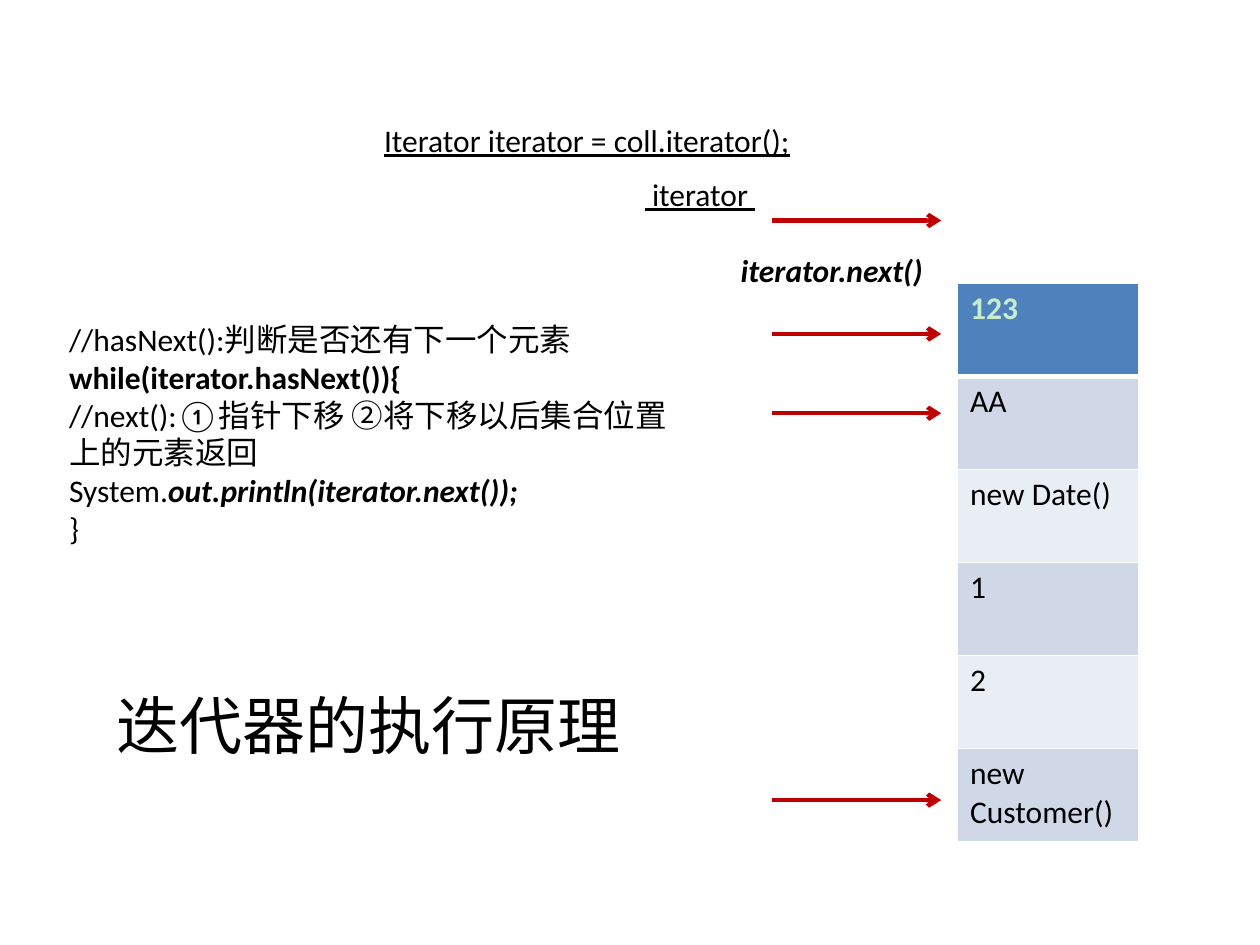
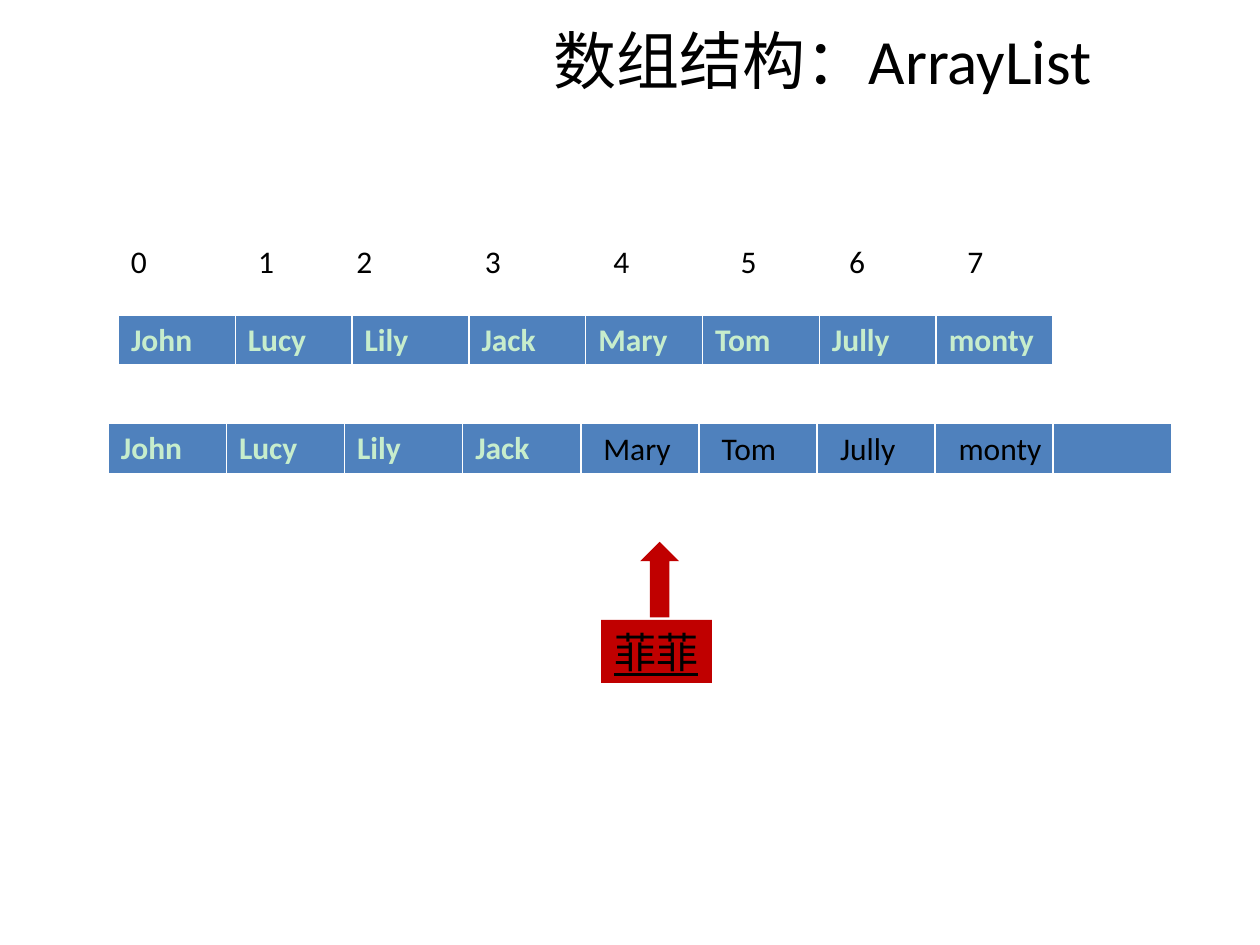
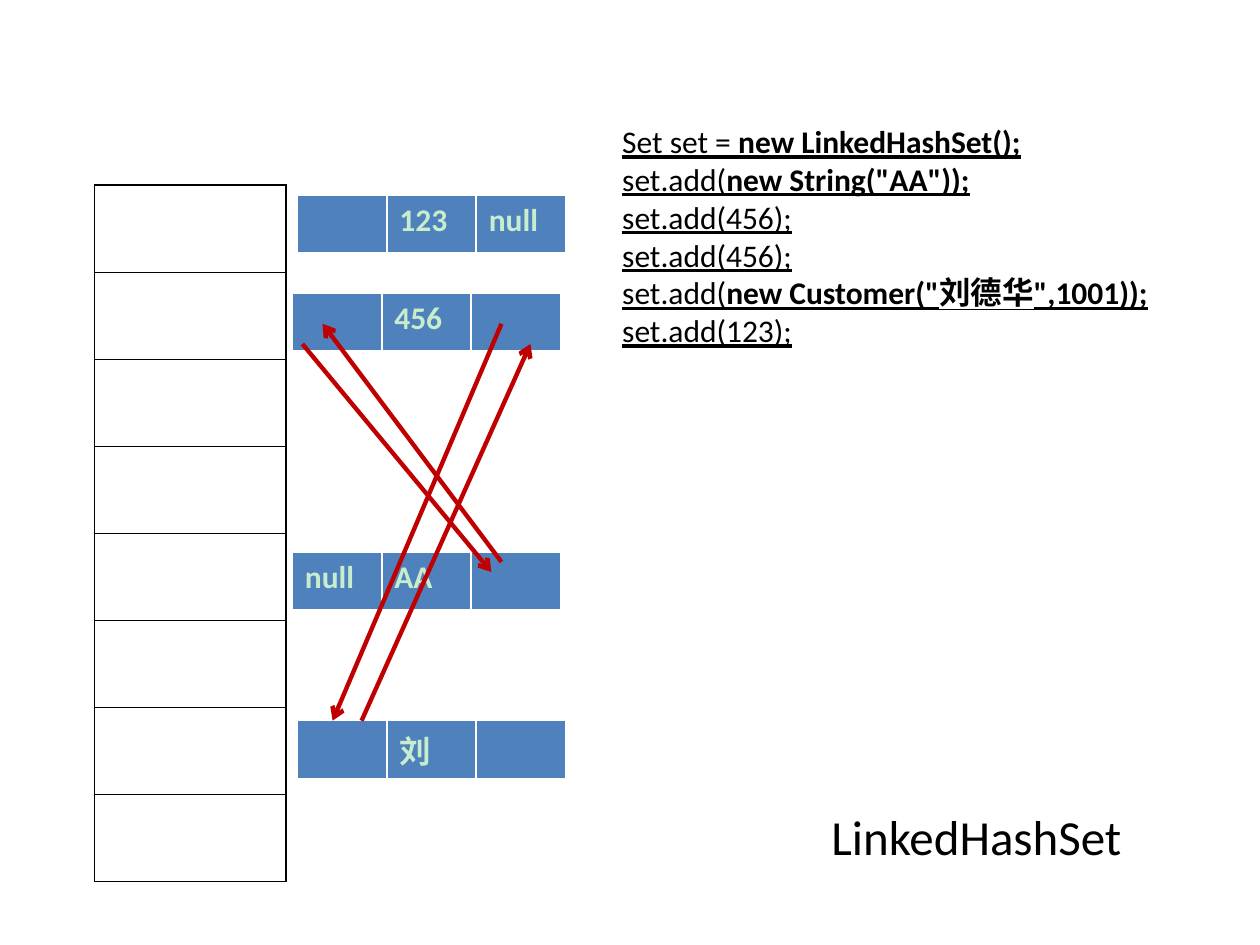
"""Build three slides on iterators, ArrayList and LinkedHashSet."""
from dataclasses import dataclass

from lxml import etree
from pptx import Presentation
from pptx import dml, presentation, slide as sl, table as tb, util as u
from pptx.dml import color
from pptx.enum import shapes, text
from pptx.oxml import ns
from pptx.text import text as tx

COLORS = {
    "ink": "000000",
    "paper": "FFFFFF",
    "pale": "C7EDCC",
    "header": "4F81BD",
    "band_dark": "D0D8E8",
    "band_light": "E9EDF4",
    "accent": "C00000",
}
FONT = "Calibri"
BODY_SIZE = 18
TITLE_SIZE = 36
POINTER_WIDTH = 2.5


@dataclass(frozen=True)
class Span:
    words: str
    bold: bool = False
    italic: bool = False


@dataclass(frozen=True)
class Label:
    left: float
    top: float
    width: float
    height: float
    lines: tuple[tuple[Span, ...], ...]
    size: int = BODY_SIZE
    underline: bool = False
    wrap: bool = True


@dataclass(frozen=True)
class Grid:
    left: float
    top: float
    width: float
    height: float
    rows: tuple[tuple[str, ...], ...]
    fills: tuple[str | None, ...] = ("header",)
    header: bool = True
    border: str = "paper"


@dataclass(frozen=True)
class Pointer:
    start: tuple[float, float]
    end: tuple[float, float]


def rgb(name: str) -> color.RGBColor:
    return color.RGBColor.from_string(COLORS[name])


def plain(words: str) -> tuple[tuple[Span, ...], ...]:
    return ((Span(words),),)


def style_font(font: tx.Font, size: int, ink: str = "ink", bold: bool = False,
               italic: bool = False, underline: bool = False) -> None:
    font.name = FONT
    font.size = u.Pt(size)
    font.bold = bold
    font.italic = italic
    font.underline = underline
    font.color.rgb = rgb(ink)


def draw_label(slide: sl.Slide, label: Label) -> tx.TextFrame:
    frame = slide.shapes.add_textbox(
        u.Inches(label.left), u.Inches(label.top),
        u.Inches(label.width), u.Inches(label.height)).text_frame
    frame.word_wrap = label.wrap
    frame.auto_size = text.MSO_AUTO_SIZE.SHAPE_TO_FIT_TEXT
    frame.text = "\n".join("" for _ in label.lines)
    for paragraph, spans in zip(frame.paragraphs, label.lines):
        for span in spans:
            run = paragraph.add_run()
            run.text = span.words
            style_font(run.font, label.size, bold=span.bold,
                       italic=span.italic, underline=label.underline)
    return frame


def set_border(cell: tb._Cell, side: str, name: str, width: float) -> None:
    properties = cell._tc.get_or_add_tcPr()
    line = etree.SubElement(properties, ns.qn(f"a:ln{side}"), w=str(u.Pt(width)))
    fill = etree.SubElement(line, ns.qn("a:solidFill"))
    etree.SubElement(fill, ns.qn("a:srgbClr"), val=COLORS[name])


def draw_grid(slide: sl.Slide, grid: Grid) -> None:
    table = slide.shapes.add_table(
        len(grid.rows), len(grid.rows[0]), u.Inches(grid.left), u.Inches(grid.top),
        u.Inches(grid.width), u.Inches(grid.height)).table
    table.first_row = grid.header
    table.horz_banding = False
    for row, (words, fill) in enumerate(zip(grid.rows, grid.fills)):
        is_header = grid.header and row == 0
        for column, word in enumerate(words):
            cell = table.cell(row, column)
            for side in "LRTB":
                thick = is_header and side == "B"
                under_header = grid.header and row == 1 and side == "T"
                set_border(cell, side, grid.border, 3 if thick or under_header else 1)
            if fill:
                cell.fill.solid()
                cell.fill.fore_color.rgb = rgb(fill)
            else:
                cell.fill.background()
            cell.text_frame.text = word
            style_font(cell.text_frame.paragraphs[0].font, BODY_SIZE)
            for run in cell.text_frame.paragraphs[0].runs:
                style_font(run.font, BODY_SIZE, "pale" if is_header else "ink", is_header)


def draw_pointer(slide: sl.Slide, pointer: Pointer) -> None:
    connector = slide.shapes.add_connector(
        shapes.MSO_CONNECTOR.STRAIGHT,
        *(u.Inches(value) for value in pointer.start + pointer.end))
    connector.line.color.rgb = rgb("accent")
    connector.line.width = u.Pt(POINTER_WIDTH)
    etree.SubElement(connector.line._get_or_add_ln(), ns.qn("a:tailEnd"), type="arrow")
    etree.SubElement(connector._element.spPr, ns.qn("a:effectLst"))


def draw_block(slide: sl.Slide, preset: shapes.MSO_SHAPE, left: float, top: float,
               width: float, height: float) -> tx.TextFrame:
    block = slide.shapes.add_shape(preset, u.Inches(left), u.Inches(top),
                                   u.Inches(width), u.Inches(height))
    block.shadow.inherit = False
    block.fill.solid()
    block.fill.fore_color.rgb = rgb("accent")
    block.line.fill.background()
    return block.text_frame


def new_slide(deck: presentation.Presentation) -> sl.Slide:
    slide = deck.slides.add_slide(deck.slide_layouts[6])
    slide.background.fill.solid()
    slide.background.fill.fore_color.rgb = rgb("paper")
    return slide


def build_iterator(deck: presentation.Presentation) -> None:
    slide = new_slide(deck)
    elements = ("123", "AA", "new Date()", "1", "2", "new Customer()")
    bands = ("header",) + ("band_dark", "band_light") * 2 + ("band_dark",)
    draw_grid(slide, Grid(7.6, 2.25, 1.44, 4.43, tuple((e,) for e in elements), bands))
    loop = (
        (Span("//hasNext():判断是否还有下一个元素"),),
        (Span("while(iterator.hasNext()){", bold=True),),
        (Span("//next():①指针下移 ②将下移以后集合位置上的元素返回"),),
        (Span("System."), Span("out.println(iterator.next());", bold=True, italic=True)),
        (Span("}"),),
    )
    next_call = ((Span("iterator.next()", bold=True, italic=True),),)
    for label in (
        Label(2.95, 0.91, 3.45, 0.4, plain("Iterator iterator = coll.iterator();"),
              underline=True, wrap=False),
        Label(5.02, 1.34, 1.09, 0.4, plain(" iterator "), underline=True, wrap=False),
        Label(0.45, 2.49, 5, 1.92, loop),
        Label(5.78, 1.94, 1.66, 0.4, next_call, wrap=False),
        Label(0.83, 5.4, 4.33, 0.71, plain("迭代器的执行原理"), TITLE_SIZE),
    ):
        draw_label(slide, label)
    for height in (1.75, 2.65, 3.28, 6.35):
        draw_pointer(slide, Pointer((6.13, height), (7.47, height)))


def build_array_list(deck: presentation.Presentation) -> None:
    slide = new_slide(deck)
    heading = draw_label(slide, Label(3.06, 0, 6.94, 0.94,
                                      plain("数组结构：ArrayList"), TITLE_SIZE))
    heading.auto_size = text.MSO_AUTO_SIZE.NONE
    heading.vertical_anchor = text.MSO_ANCHOR.MIDDLE
    heading.paragraphs[0].alignment = text.PP_ALIGN.CENTER

    names = ("John", "Lucy", "Lily", "Jack", "Mary", "Tom", "Jully", "monty")
    kept, shifted = names[:4], names[4:]
    draw_grid(slide, Grid(0.94, 2.5, 7.42, 0.41, (names,)))
    draw_grid(slide, Grid(0.86, 3.36, 8.44, 0.41, (kept + ("",) * 5,)))
    for index, left in enumerate((0.94, 1.95, 2.73, 3.75, 4.77, 5.78, 6.64, 7.58)):
        draw_label(slide, Label(left, 1.87, 0.7, 0.4, plain(str(index))))
    for index, name in enumerate(shifted):
        draw_label(slide, Label(4.69 + 0.94 * index, 3.36, 0.86, 0.4, plain(name)))

    inserted = draw_block(slide, shapes.MSO_SHAPE.RECTANGLE, 4.77, 4.92, 0.88, 0.5)
    inserted.text = "菲菲"
    inserted.vertical_anchor = text.MSO_ANCHOR.MIDDLE
    inserted.paragraphs[0].alignment = text.PP_ALIGN.CENTER
    style_font(inserted.paragraphs[0].runs[0].font, 24, underline=True)
    draw_block(slide, shapes.MSO_SHAPE.UP_ARROW, 5.08, 4.3, 0.31, 0.6)


def build_linked_hash_set(deck: presentation.Presentation) -> None:
    slide = new_slide(deck)
    calls = (
        (Span("Set set = "), Span("new LinkedHashSet();", bold=True)),
        (Span("set.add("), Span('new String("AA"));', bold=True)),
        (Span("set.add(456);"),),
        (Span("set.add(456);"),),
        (Span("set.add("), Span('new Customer("刘德华",1001));', bold=True)),
        (Span("set.add(123);"),),
    )
    draw_label(slide, Label(4.84, 0.92, 5, 1.92, calls, underline=True))
    draw_grid(slide, Grid(0.75, 1.47, 1.52, 5.53, (("",),) * 8, (None,) * 8,
                          header=False, border="ink"))
    for left, top, node in (
        (2.32, 4.38, ("null", "AA", "")),
        (2.32, 2.33, ("", "456", "")),
        (2.36, 5.72, ("", "刘", "")),
        (2.36, 1.55, ("", "123", "null")),
    ):
        draw_grid(slide, Grid(left, top, 2.13, 0.47, (node,)))
    draw_label(slide, Label(6.5, 6.35, 2.68, 0.57, plain("LinkedHashSet"), 28))
    for link in (
        Pointer((3.98, 4.46), (2.56, 2.57)),
        Pointer((2.4, 2.73), (3.9, 4.54)),
        Pointer((3.98, 2.57), (2.64, 5.72)),
        Pointer((2.87, 5.72), (4.21, 2.73)),
    ):
        draw_pointer(slide, link)


def main() -> None:
    deck = Presentation()
    deck.slide_width = u.Inches(10)
    deck.slide_height = u.Inches(7.5)
    build_iterator(deck)
    build_array_list(deck)
    build_linked_hash_set(deck)
    deck.save("out.pptx")


if __name__ == "__main__":
    main()
